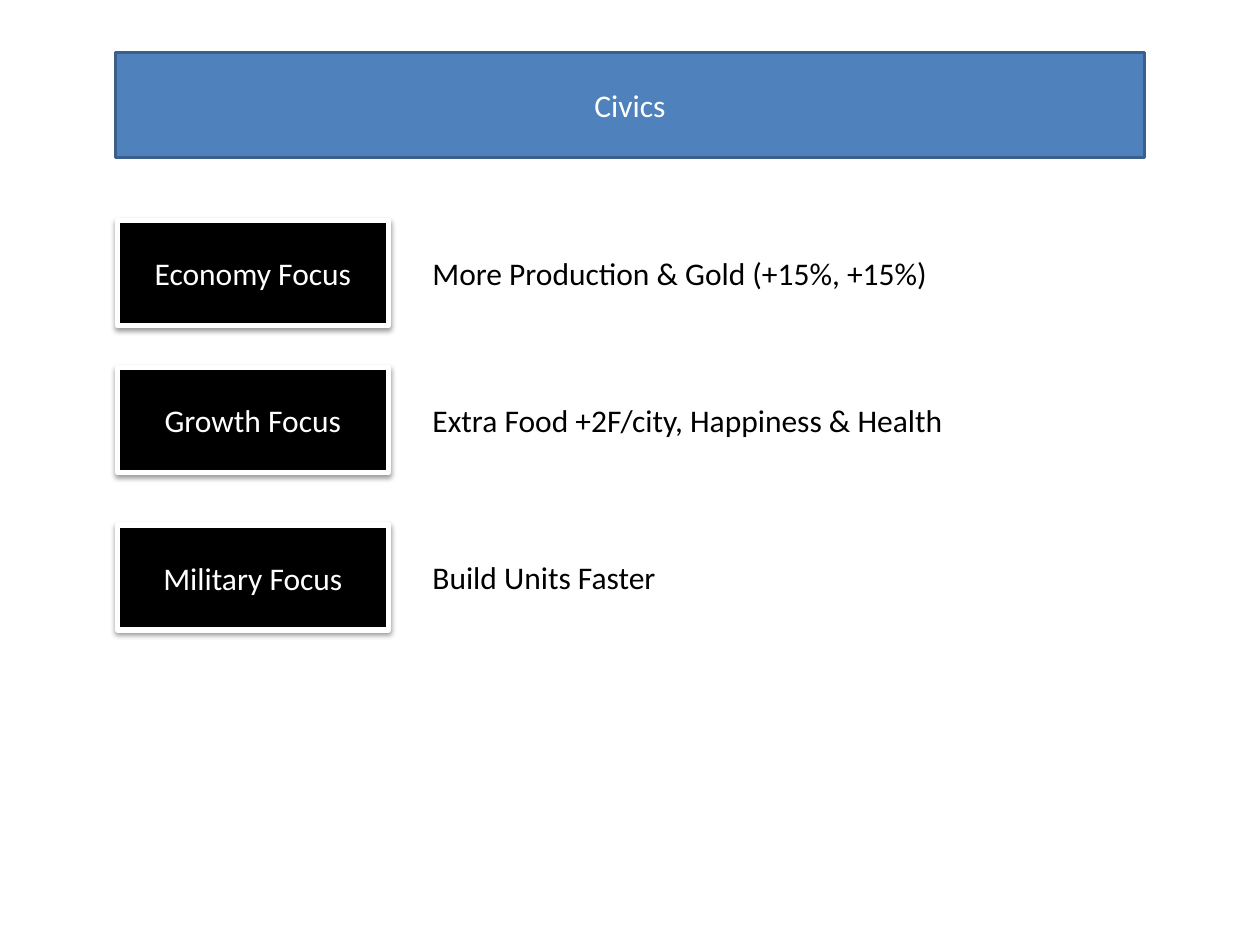
from lxml import etree
from pptx import Presentation
from pptx.dml.color import RGBColor
from pptx.enum.shapes import MSO_SHAPE
from pptx.enum.text import MSO_ANCHOR, MSO_AUTO_SIZE, PP_ALIGN
from pptx.oxml.ns import qn
from pptx.util import Pt

RECTANGLE = MSO_SHAPE.RECTANGLE
MIDDLE = MSO_ANCHOR.MIDDLE
FIT_SHAPE = MSO_AUTO_SIZE.SHAPE_TO_FIT_TEXT
CENTER, LEFT = PP_ALIGN.CENTER, PP_ALIGN.LEFT

COLORS = {"banner": "4F81BD", "banner_edge": "3A5F8C",
          "black": "000000", "white": "FFFFFF"}
FONT = {"name": "Calibri", "size": Pt(18)}

ROW_HEIGHT = 60
# Row top, civic, effect, width of the effect text
CIVICS = [
    (126, "Economy Focus", "More Production & Gold (+15%, +15%)", 330),
    (210, "Growth Focus", "Extra Food +2F/city, Happiness & Health", 336),
    (300, "Military Focus", "Build Units Faster", 156),
]


def color(name):
    return RGBColor.from_string(COLORS[name])


def write(frame, text, ink, align):
    paragraph = frame.paragraphs[0]
    paragraph.alignment = align
    run = paragraph.add_run()
    run.text = text
    for attribute, value in FONT.items():
        setattr(run.font, attribute, value)
    run.font.color.rgb = color(ink)


def add_panel(slide, box, text, fill, edge, edge_width):
    panel = slide.shapes.add_shape(RECTANGLE, *map(Pt, box))
    panel.shadow.inherit = False
    panel.fill.solid()
    panel.fill.fore_color.rgb = color(fill)
    panel.line.color.rgb = color(edge)
    panel.line.width = Pt(edge_width)
    panel.text_frame.vertical_anchor = MIDDLE
    write(panel.text_frame, text, "white", CENTER)
    return panel


def add_soft_shadow(panel):
    effects = panel.element.spPr.find(qn("a:effectLst"))
    shadow = etree.SubElement(
        effects, qn("a:outerShdw"), blurRad=str(Pt(3.1)), dist=str(Pt(1.6)),
        dir="5400000", rotWithShape="0")
    tint = etree.SubElement(shadow, qn("a:srgbClr"), val=COLORS["black"])
    etree.SubElement(tint, qn("a:alpha"), val="38000")


def add_banner(slide, box, title):
    add_panel(slide, box, title, "banner", "banner_edge", 2)


def add_civic_row(slide, box, civic, effect, effect_width):
    left, top, width, height = box
    # Civic name
    civic_panel = add_panel(slide, (left, top, width, height), civic,
                            "black", "white", 3)
    add_soft_shadow(civic_panel)
    # Effect, centred on the row
    effect_height = 29
    effect_box = slide.shapes.add_textbox(
        Pt(left + width + 18), Pt(top + (height - effect_height) / 2),
        Pt(effect_width), Pt(effect_height))
    frame = effect_box.text_frame
    frame.word_wrap = True
    frame.auto_size = FIT_SHAPE
    write(frame, effect, "black", LEFT)


def build_civics_slide(deck):
    slide = deck.slides.add_slide(deck.slide_layouts[6])
    add_banner(slide, (66, 30, 588, 60), "Civics")
    for top, civic, effect, effect_width in CIVICS:
        add_civic_row(slide, (67, top, 155, ROW_HEIGHT),
                      civic, effect, effect_width)


deck = Presentation()
deck.slide_width, deck.slide_height = Pt(720), Pt(540)
build_civics_slide(deck)
deck.save("out.pptx")
